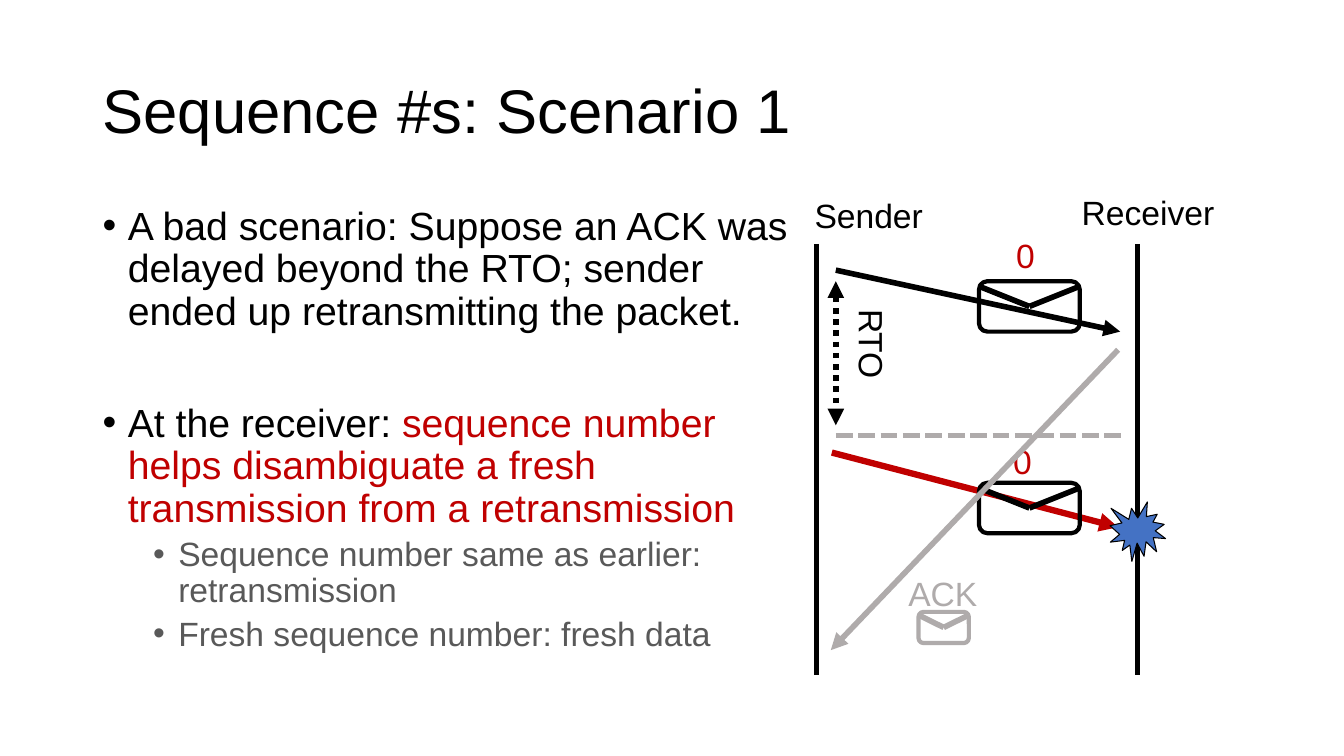
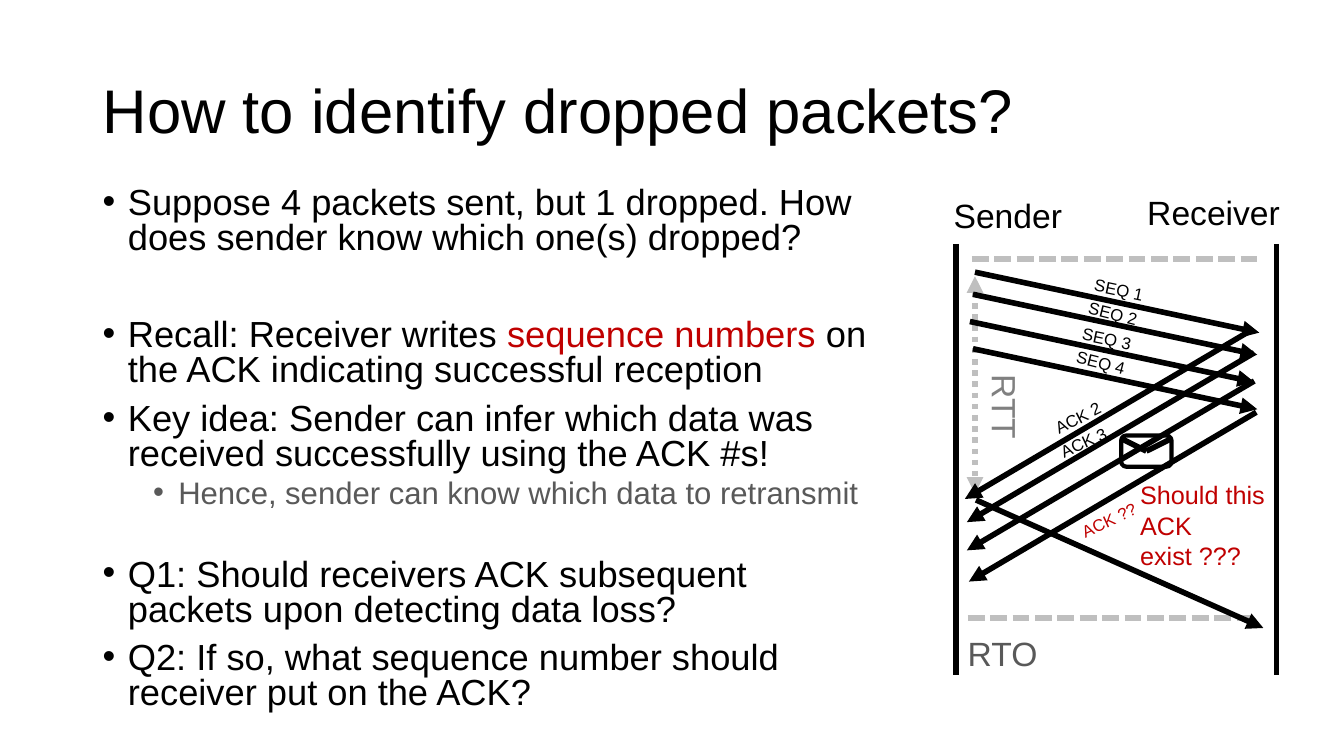
from pptx import Presentation
from pptx import util as u
from pptx.dml.color import RGBColor
from pptx.enum import dml, shapes, text
from pptx.oxml.ns import qn
from lxml import etree

COLORS = {
    "black": "000000",
    "red": "C00000",
    "body_gray": "595959",
    "label_gray": "808080",
    "ack_gray": "AFABAB",
    "guide_gray": "BFBFBF",
    "blue": "4472C4",
}
FONT = "Arial"
CELL = 0.1  # inches; every position and size below counts grid cells
DASH = dml.MSO_LINE.SQUARE_DOT
DOT = dml.MSO_LINE.ROUND_DOT


def cells(*counts):
    return [u.Inches(count * CELL) for count in counts]


def rgb(name):
    return RGBColor.from_string(COLORS[name])


def write(paragraph, words, size=24, color="black"):
    run = paragraph.add_run()
    run.text = words
    run.font.name = FONT
    run.font.size = u.Pt(size)
    run.font.color.rgb = rgb(color)


def add_bullet(paragraph, level):
    properties = paragraph._p.get_or_add_pPr()
    properties.set("marL", str(u.Inches(0.25 + 0.5 * level)))
    properties.set("indent", str(-u.Inches(0.25)))
    etree.SubElement(properties, qn("a:buFont")).set("typeface", FONT)
    etree.SubElement(properties, qn("a:buChar")).set("char", "•")
    paragraph.level = level


class Deck:
    """Holds the presentation, its style and the slide being filled."""

    def __init__(self):
        self.presentation = Presentation()
        self.presentation.slide_width = u.Inches(13.33)
        self.presentation.slide_height = u.Inches(7.5)
        self.slide = None

    def new_slide(self, title):
        blank = self.presentation.slide_layouts[6]
        self.slide = self.presentation.slides.add_slide(blank)
        frame = self.frame(9.2, 4, 115, 14.5)
        frame.vertical_anchor = text.MSO_ANCHOR.MIDDLE
        frame.paragraphs[0].line_spacing = 0.9
        write(frame.paragraphs[0], title, size=44)

    def frame(self, left, top, width, height, rotation=0, wrap=True):
        box = self.slide.shapes.add_textbox(*cells(left, top, width, height))
        box.rotation = rotation
        box.text_frame.word_wrap = wrap
        return box.text_frame

    def label(self, words, left, top, width=11, height=5, rotation=0,
              wrap=True, **style):
        frame = self.frame(left, top, width, height, rotation, wrap)
        write(frame.paragraphs[0], words, **style)

    def bullets(self, box, items, sizes, line_spacing):
        """Each item is (level, space before, runs of words and colour)."""
        frame = self.frame(*box)
        for index, (level, space, runs) in enumerate(items):
            paragraph = frame.add_paragraph() if index else frame.paragraphs[0]
            add_bullet(paragraph, level)
            paragraph.line_spacing = line_spacing
            paragraph.space_before = u.Pt(space)
            for words, color in runs:
                write(paragraph, words, size=sizes[level], color=color)

    def line(self, start, end, color="black", width=4, dash=None, heads=()):
        """Heads names the ends with an arrowhead: headEnd, tailEnd."""
        connector = self.slide.shapes.add_connector(
            shapes.MSO_CONNECTOR.STRAIGHT, *cells(*start, *end))
        connector.line.color.rgb = rgb(color)
        connector.line.width = u.Pt(width)
        if dash:
            connector.line.dash_style = dash
        properties = connector._element.spPr
        outline = properties.find(qn("a:ln"))
        for head in heads:
            etree.SubElement(outline, qn("a:" + head)).set("type", "triangle")
        etree.SubElement(properties, qn("a:effectLst"))

    def arrow(self, start, end, **style):
        self.line(start, end, heads=["tailEnd"], **style)

    def time_span(self, start, end, color="black"):
        self.line(start, end, color, dash=DOT, heads=["headEnd", "tailEnd"])

    def shape(self, kind, box, outline="black", width=3, fill=None):
        shape = self.slide.shapes.add_shape(kind, *cells(*box))
        shape.shadow.inherit = False
        shape.line.color.rgb = rgb(outline)
        shape.line.width = u.Pt(width)
        if fill:
            shape.fill.solid()
            shape.fill.fore_color.rgb = rgb(fill)
        else:
            shape.fill.background()

    def envelope(self, left, top, width, height, color="black"):
        self.shape(shapes.MSO_SHAPE.ROUNDED_RECTANGLE,
                   (left, top, width, height), color)
        fold = (left + width / 2, top + height / 2)
        flap = top + height / 10
        self.line((left, flap), fold, color)
        self.line(fold, (left + width, flap), color)

    def timelines(self, sender, receiver_label):
        for x in (sender, sender + 31.8):
            self.line((x, 24.2), (x, 67))
        self.label("Sender", sender - 1.2, 18.8, 15.1)
        self.label("Receiver", receiver_label, 18.5, 16.8)


def build_scenario(deck):
    deck.new_slide("Sequence #s: Scenario 1")
    deck.timelines(81, receiver_label=106.3)
    deck.arrow((82.9, 26.8), (111.1, 32.9))
    deck.envelope(97.1, 27.9, 10, 5)
    deck.envelope(91.1, 60.7, 5, 3.1, "ack_gray")
    deck.label("ACK", 89.1, 56.3, 8.9, wrap=False, color="ack_gray")
    deck.line((82.9, 43.2), (111.4, 43.2), "ack_gray", dash=DASH)
    deck.time_span((82.9, 27.9), (82.9, 42.2))
    deck.label("RTO", 81, 32.7, rotation=90)
    deck.bullets((9.2, 20, 70.4, 51), [
        (0, 0, [("A bad scenario: Suppose an ACK was delayed beyond the RTO; "
                 "sender ended up retransmitting the packet.", "black")]),
        (0, 50, [("At the receiver: ", "black"),
                 ("sequence number helps disambiguate a fresh transmission "
                  "from a retransmission", "red")]),
        (1, 5, [("Sequence number same as earlier: retransmission",
                 "body_gray")]),
        (1, 5, [("Fresh sequence number: fresh data", "body_gray")]),
    ], sizes=(28, 24), line_spacing=0.9)
    deck.arrow((82.5, 44.9), (110.9, 52.3), color="red", width=4.5)
    deck.shape(shapes.MSO_SHAPE.EXPLOSION1, (110.1, 49.8, 5.5, 5.9),
               width=0.75, fill="blue")
    deck.label("0", 99.8, 22.8, 5, color="red")
    deck.envelope(97.1, 47.9, 10, 5)
    deck.label("0", 99.5, 43.3, 5, color="red")
    deck.arrow((110.9, 34.7), (82.4, 64.5), color="ack_gray")


def build_dropped_packets(deck):
    deck.new_slide("How to identify dropped packets?")
    deck.bullets((9.2, 18.1, 78.7, 56.9), [
        (0, 0, [("Suppose 4 packets sent, but 1 dropped. How does sender know "
                 "which one(s) dropped?", "black")]),
        (0, 45, [("Recall: Receiver writes ", "black"),
                 ("sequence numbers ", "red"),
                 ("on the ACK indicating successful reception", "black")]),
        (0, 10, [("Key idea: Sender can infer which data was received "
                  "successfully using the ACK #s!", "black")]),
        (1, 5, [("Hence, sender can know which data to retransmit",
                 "body_gray")]),
        (0, 35, [("Q1: Should receivers ACK subsequent packets upon detecting "
                  "data loss?", "black")]),
        (0, 10, [("Q2: If so, what sequence number should receiver put on the "
                  "ACK?", "black")]),
    ], sizes=(25.9, 22.2), line_spacing=0.8)
    deck.timelines(94.8, receiver_label=112.8)
    for left, y in ((96, 61.3), (96.4, 25.7)):
        deck.line((left, y), (left + 28.5, y), "guide_gray", dash=DASH)
    deck.time_span((96.7, 27.4), (96.7, 49), "guide_gray")
    deck.label("RTT", 94.2, 39.2, rotation=90, color="label_gray")
    deck.arrow((96.8, 49.6), (125.3, 62.3))
    for x, y in ((96.7, 27), (96.5, 29.2), (96.2, 31.9), (96.5, 34.6)):
        deck.arrow((x, y), (x + 28.2, y + 6))
    for x, y in ((124.2, 32.7), (124.4, 35), (124.4, 37.8), (124.6, 40.9)):
        deck.arrow((x, y), (x - 28.5, y + 16.8))
    deck.envelope(111.2, 43.2, 5, 3.1)
    deck.label("RTO", 95, 62.3, color="body_gray")
    deck.label("Should this ACK exist ???", 112.1, 47.1, 15.3, 10.1,
               size=18, color="red")
    for index in range(4):
        deck.label(f"SEQ {index + 1}", 107.5 - 0.6 * index,
                   27.6 + 2.43 * index, 10.5, 3, size=12,
                   rotation=14.2 if index % 2 else 11.9)
    for words, left, top, rotation, color in (
            ("ACK 2", 103.3, 39.1, 333, "black"),
            ("ACK 3", 103.9, 41.6, 335.2, "black"),
            ("ACK ??", 106, 49.5, 335.2, "red")):
        deck.label(words, left, top, 10.5, 3, rotation, size=12, color=color)


def main():
    deck = Deck()
    build_scenario(deck)
    build_dropped_packets(deck)
    deck.presentation.save("out.pptx")


if __name__ == "__main__":
    main()
